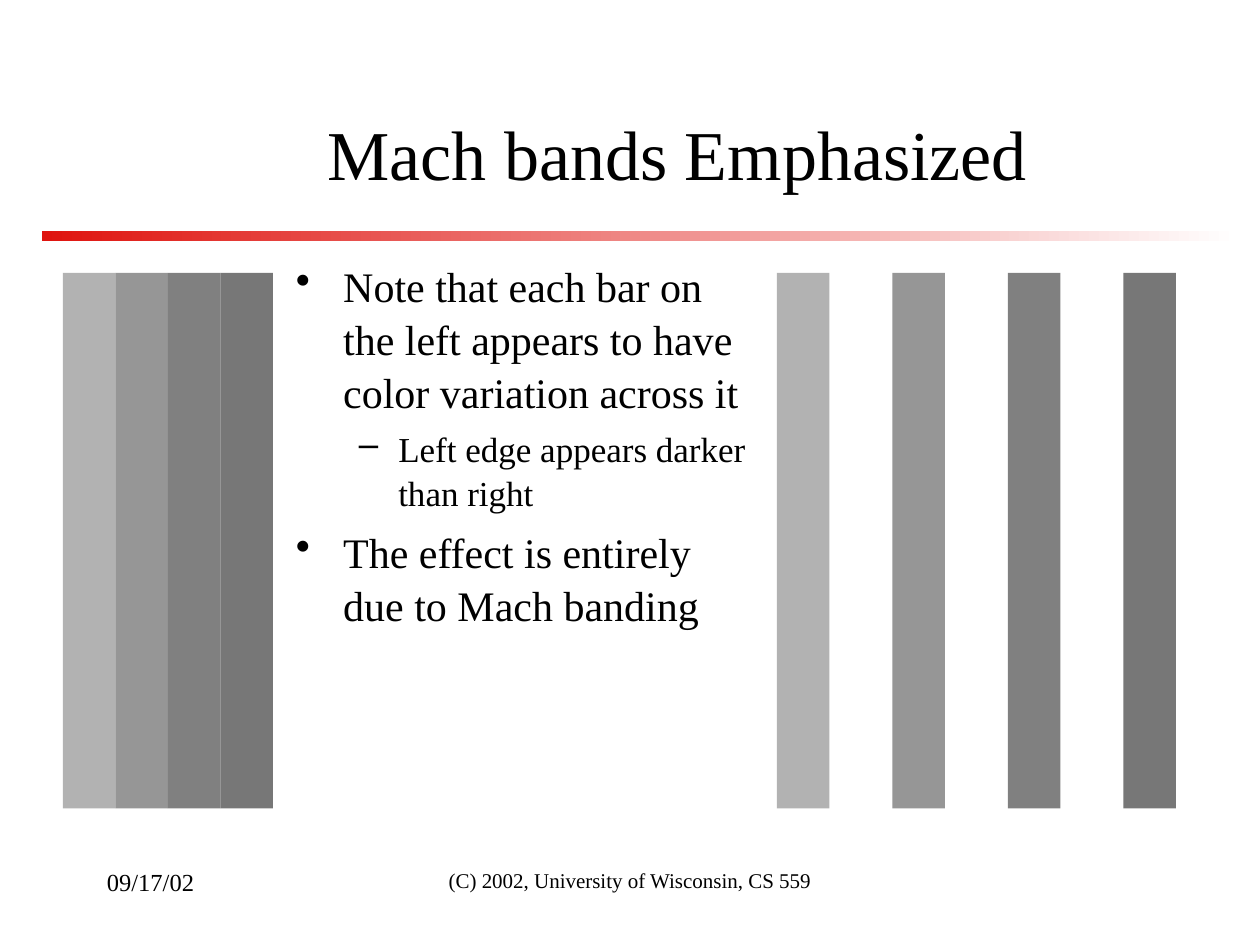
from lxml import etree
from pptx import Presentation
from pptx.dml.color import RGBColor
from pptx.enum.shapes import MSO_SHAPE
from pptx.enum.text import MSO_ANCHOR, MSO_AUTO_SIZE, PP_ALIGN
from pptx.oxml.ns import qn
from pptx.util import Pt

RECT = MSO_SHAPE.RECTANGLE
LEFT, CENTER = PP_ALIGN.LEFT, PP_ALIGN.CENTER
TOP, MIDDLE = MSO_ANCHOR.TOP, MSO_ANCHOR.MIDDLE
NO_FIT = MSO_AUTO_SIZE.NONE
FACE = "Times New Roman"
BLACK, WHITE, RED = "000000", "FFFFFF", "DF140F"
GREYS = ["B2B2B2", "969696", "808080", "777777"]
# level: (size, indent, hanging, space before, bullet)
LEVELS = [(24, 27, 27, 6, "•"), (20, 58.5, 22.5, 5, "–")]
NOTES = [
    (0, "Note that each bar on the left appears to have color variation across it"),
    (1, "Left edge appears darker than right"),
    (0, "The effect is entirely due to Mach banding"),
]


def paint(color, code):
    """Set a colour from a hex string."""
    color.rgb = RGBColor.from_string(code)


def style(para, size, align=LEFT):
    """Set the font and alignment of a paragraph."""
    para.alignment = align
    para.font.name = FACE
    para.font.size = Pt(size)
    paint(para.font.color, BLACK)


def place(shape, left, top, width, height):
    """Move and size a shape."""
    shape.left, shape.top = Pt(left), Pt(top)
    shape.width, shape.height = Pt(width), Pt(height)


def add_rect(slide, left, top, width, height):
    """Add a rectangle without line or shadow."""
    rect = slide.shapes.add_shape(RECT, Pt(left), Pt(top), Pt(width), Pt(height))
    rect.shadow.inherit = False
    rect.line.fill.background()
    return rect


def add_rule(slide):
    """Add the fading rule below the title."""
    fill = add_rect(slide, 24, 132, 684, 6).fill
    fill.gradient()
    fill.gradient_angle = 0
    for stop, code in zip(fill.gradient_stops, (RED, WHITE)):
        paint(stop.color, code)


def add_bars(slide, left, pitch):
    """Add a row of grey bars at an equal pitch."""
    for i, code in enumerate(GREYS):
        fill = add_rect(slide, left + i * pitch, 156, 30, 306).fill
        fill.solid()
        paint(fill.fore_color, code)


def set_title(slide, text):
    """Fill and format the title placeholder."""
    title = slide.shapes.title
    place(title, 96, 48, 582, 78)
    frame = title.text_frame
    frame.text = text
    frame.auto_size = NO_FIT
    frame.vertical_anchor = MIDDLE
    style(frame.paragraphs[0], 40, CENTER)


def add_box(slide, left, top, width, height):
    """Add a wrapping text box and return its frame."""
    box = slide.shapes.add_textbox(Pt(left), Pt(top), Pt(width), Pt(height))
    frame = box.text_frame
    frame.word_wrap = True
    frame.vertical_anchor = TOP
    return frame


def add_label(slide, left, width, text, size, align=LEFT):
    """Add a line of footer text."""
    para = add_box(slide, left, 492, width, 36).paragraphs[0]
    para.text = text
    style(para, size, align)


def add_notes(slide):
    """Add the bulleted notes."""
    frame = add_box(slide, 162, 144, 276, 324)
    for i, (level, text) in enumerate(NOTES):
        size, indent, hang, gap, mark = LEVELS[level]
        para = frame.paragraphs[0] if i == 0 else frame.add_paragraph()
        para.text = text
        para.level = level
        para.line_spacing = 1.05
        if i:
            para.space_before = Pt(gap)
        props = para._p.get_or_add_pPr()
        props.set("marL", str(Pt(indent)))
        props.set("indent", str(-Pt(hang)))
        etree.SubElement(props, qn("a:buChar")).set("char", mark)
        style(para, size)


def main():
    """Build and save the slide."""
    deck = Presentation()
    deck.slide_width, deck.slide_height = Pt(720), Pt(540)
    slide = deck.slides.add_slide(deck.slide_layouts[5])
    add_rule(slide)
    set_title(slide, "Mach bands Emphasized")
    add_notes(slide)
    add_bars(slide, 444, 66)
    add_bars(slide, 36, 30)
    add_label(slide, 246, 228, "(C) 2002, University of Wisconsin, CS 559", 12, CENTER)
    add_label(slide, 54, 150, "09/17/02", 14)
    deck.save("out.pptx")


if __name__ == "__main__":
    main()
